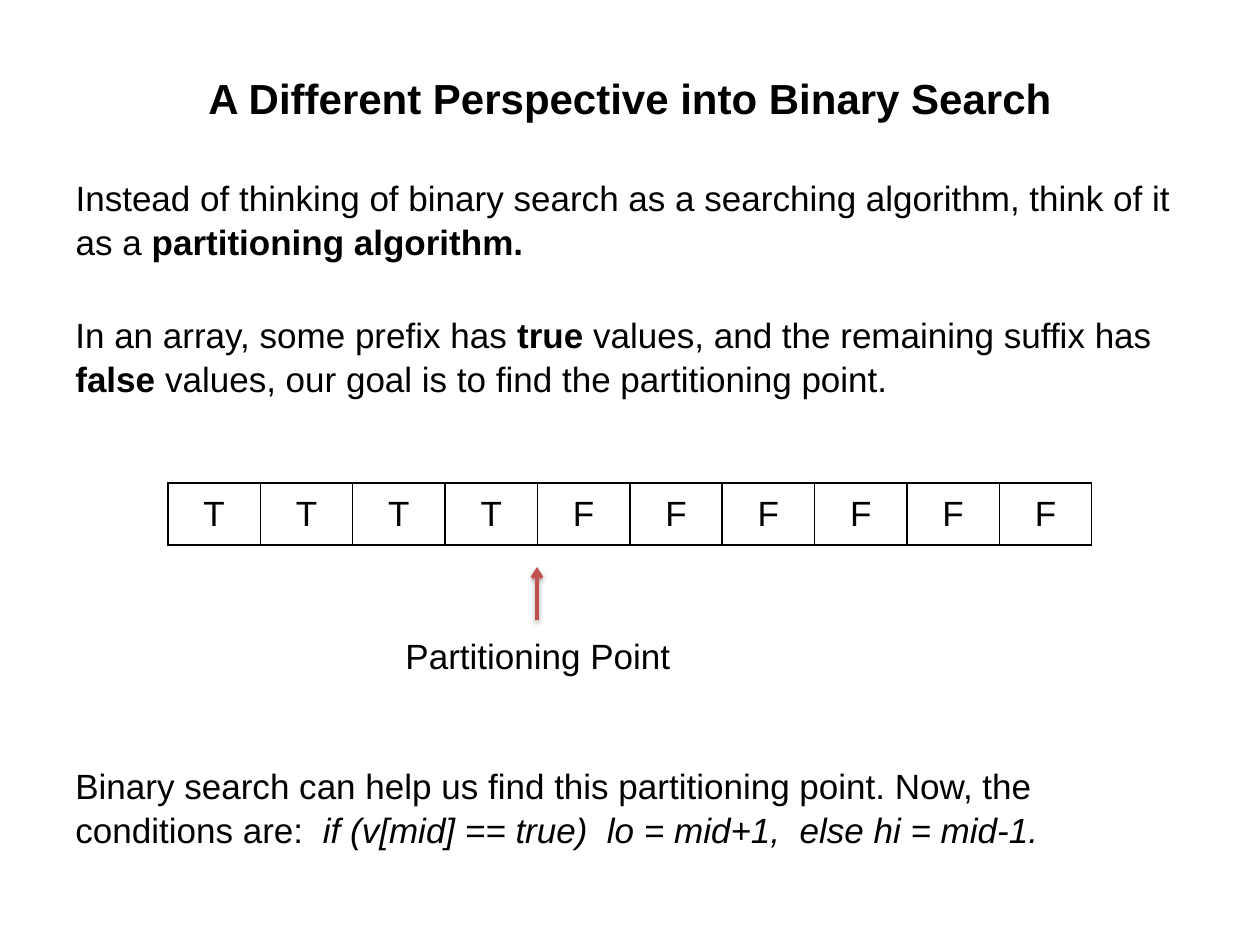
"""Build the slide on binary search as a partitioning algorithm."""
from dataclasses import dataclass
from typing import NamedTuple

from lxml.etree import SubElement
from pptx import Presentation
from pptx.dml.color import RGBColor
from pptx.enum.shapes import MSO_CONNECTOR
from pptx.enum.text import MSO_ANCHOR, MSO_AUTO_SIZE, PP_ALIGN
from pptx.oxml import parse_xml
from pptx.oxml.ns import nsdecls, qn
from pptx.util import Emu, Pt

EMU_PER_PX = 914400 / 126


@dataclass(frozen=True)
class Theme:
    """Colours, font and type sizes of the slide."""

    font: str = "Arial"
    ink: str = "000000"
    accent: str = "C0504D"
    title_size: int = 24
    body_size: int = 20


class Box(NamedTuple):
    """A rectangle in px."""

    left: int
    top: int
    width: int
    height: int


class Span(NamedTuple):
    """A piece of text with its emphasis."""

    text: str
    bold: bool = False
    italic: bool = False


@dataclass(frozen=True)
class Passage:
    """A text block with its place and alignment."""

    box: Box
    spans: tuple[Span, ...]
    align: PP_ALIGN = PP_ALIGN.LEFT


THEME = Theme()
TITLE = Passage(
    Box(63, 38, 1134, 120),
    (Span("A Different Perspective into Binary Search", bold=True),),
    PP_ALIGN.CENTER,
)
INTRODUCTION = Passage(
    Box(63, 168, 1134, 136),
    (
        Span("Instead of thinking of binary search as a searching algorithm, think of it as a "),
        Span("partitioning algorithm.", bold=True),
    ),
)
TEXT_BOXES = (
    Passage(
        Box(63, 305, 1134, 136),
        (
            Span("In an array, some prefix has "),
            Span("true", bold=True),
            Span(" values, and the remaining suffix has "),
            Span("false ", bold=True),
            Span("values, our goal is to find the partitioning point."),
        ),
    ),
    Passage(Box(370, 626, 336, 68), (Span("Partitioning Point"),), PP_ALIGN.CENTER),
    Passage(
        Box(63, 756, 1134, 126),
        (
            Span("Binary search can help us find this partitioning point. Now, the conditions are:  "),
            Span("if (v[mid] == true)  lo = mid+1,  else hi = mid-1.", italic=True),
        ),
    ),
)
ARRAY_BOX = Box(168, 483, 924, 62)
ARRAY_VALUES = "TTTTFFFFFF"


def px(length: float) -> Emu:
    """Turn px into EMU."""
    return Emu(round(length * EMU_PER_PX))


def apply_format(target: object, values: dict) -> None:
    """Set each named attribute on the target."""
    for name, value in values.items():
        setattr(target, name, value)


def write_spans(paragraph, spans: tuple[Span, ...], size: int, align: PP_ALIGN) -> None:
    """Write the spans into a paragraph."""
    paragraph.alignment = align
    for span in spans:
        run = paragraph.add_run()
        run.text = span.text
        apply_format(run.font, {
            "name": THEME.font, "size": Pt(size), "bold": span.bold, "italic": span.italic,
        })
        run.font.color.rgb = RGBColor.from_string(THEME.ink)


def fill_passage(shape, passage: Passage, size: int, anchor: MSO_ANCHOR) -> None:
    """Place a text shape and write its passage."""
    apply_format(shape, {name: px(value) for name, value in passage.box._asdict().items()})
    apply_format(shape.text_frame, {
        "word_wrap": True, "auto_size": MSO_AUTO_SIZE.NONE, "vertical_anchor": anchor,
    })
    paragraph = shape.text_frame.paragraphs[0]
    write_spans(paragraph, passage.spans, size, passage.align)
    if anchor == MSO_ANCHOR.TOP:
        apply_format(paragraph, {"space_before": Pt(4), "line_spacing": 1.05})


def remove_bullet(paragraph) -> None:
    """Take the bullet and its indent off a paragraph."""
    properties = paragraph._p.get_or_add_pPr()
    properties.set("marL", "0")
    properties.set("indent", "0")
    SubElement(properties, qn("a:buNone"))


def add_cell_borders(cell) -> None:
    """Draw a thin line on all sides of a cell."""
    properties = cell._tc.get_or_add_tcPr()
    for position, side in enumerate(("lnL", "lnR", "lnT", "lnB")):
        properties.insert(position, parse_xml(
            f'<a:{side} {nsdecls("a")} w="{Pt(1)}"><a:solidFill>'
            f'<a:srgbClr val="{THEME.ink}"/></a:solidFill></a:{side}>'
        ))


def add_array(slide, box: Box, values: str) -> None:
    """Add the array as a one-row table."""
    table = slide.shapes.add_table(1, len(values), *map(px, box)).table
    apply_format(table, {"first_row": False, "horz_banding": False})
    for column, value in zip(table.columns, values):
        column.width = px(box.width / len(values))
    for cell, value in zip(table.rows[0].cells, values):
        cell.fill.background()
        cell.vertical_anchor = MSO_ANCHOR.MIDDLE
        write_spans(cell.text_frame.paragraphs[0], (Span(value),), THEME.body_size, PP_ALIGN.CENTER)
        add_cell_borders(cell)


def add_pointer(slide, x: int, bottom: int, top: int) -> None:
    """Add the upward arrow with its soft shadow."""
    connector = slide.shapes.add_connector(
        MSO_CONNECTOR.STRAIGHT, px(x), px(bottom), px(x), px(top)
    )
    connector.line.color.rgb = RGBColor.from_string(THEME.accent)
    connector.line.width = Pt(2)
    SubElement(connector.line._get_or_add_ln(), qn("a:tailEnd"), type="arrow")
    connector._element.spPr.append(parse_xml(
        f'<a:effectLst {nsdecls("a")}><a:outerShdw blurRad="{Pt(3.1)}" dist="{Pt(1.6)}" '
        f'dir="5400000" rotWithShape="0"><a:srgbClr val="{THEME.ink}">'
        '<a:alpha val="38000"/></a:srgbClr></a:outerShdw></a:effectLst>'
    ))


def main() -> None:
    """Build and save the presentation."""
    presentation = Presentation()
    apply_format(presentation, {"slide_width": px(1260), "slide_height": px(945)})
    slide = presentation.slides.add_slide(presentation.slide_layouts[1])
    title, body = slide.placeholders
    fill_passage(title, TITLE, THEME.title_size, MSO_ANCHOR.MIDDLE)
    fill_passage(body, INTRODUCTION, THEME.body_size, MSO_ANCHOR.TOP)
    remove_bullet(body.text_frame.paragraphs[0])
    add_array(slide, ARRAY_BOX, ARRAY_VALUES)
    add_pointer(slide, 537, 620, 567)
    for passage in TEXT_BOXES:
        text_box = slide.shapes.add_textbox(*map(px, passage.box))
        fill_passage(text_box, passage, THEME.body_size, MSO_ANCHOR.TOP)
    presentation.save("out.pptx")


if __name__ == "__main__":
    main()
